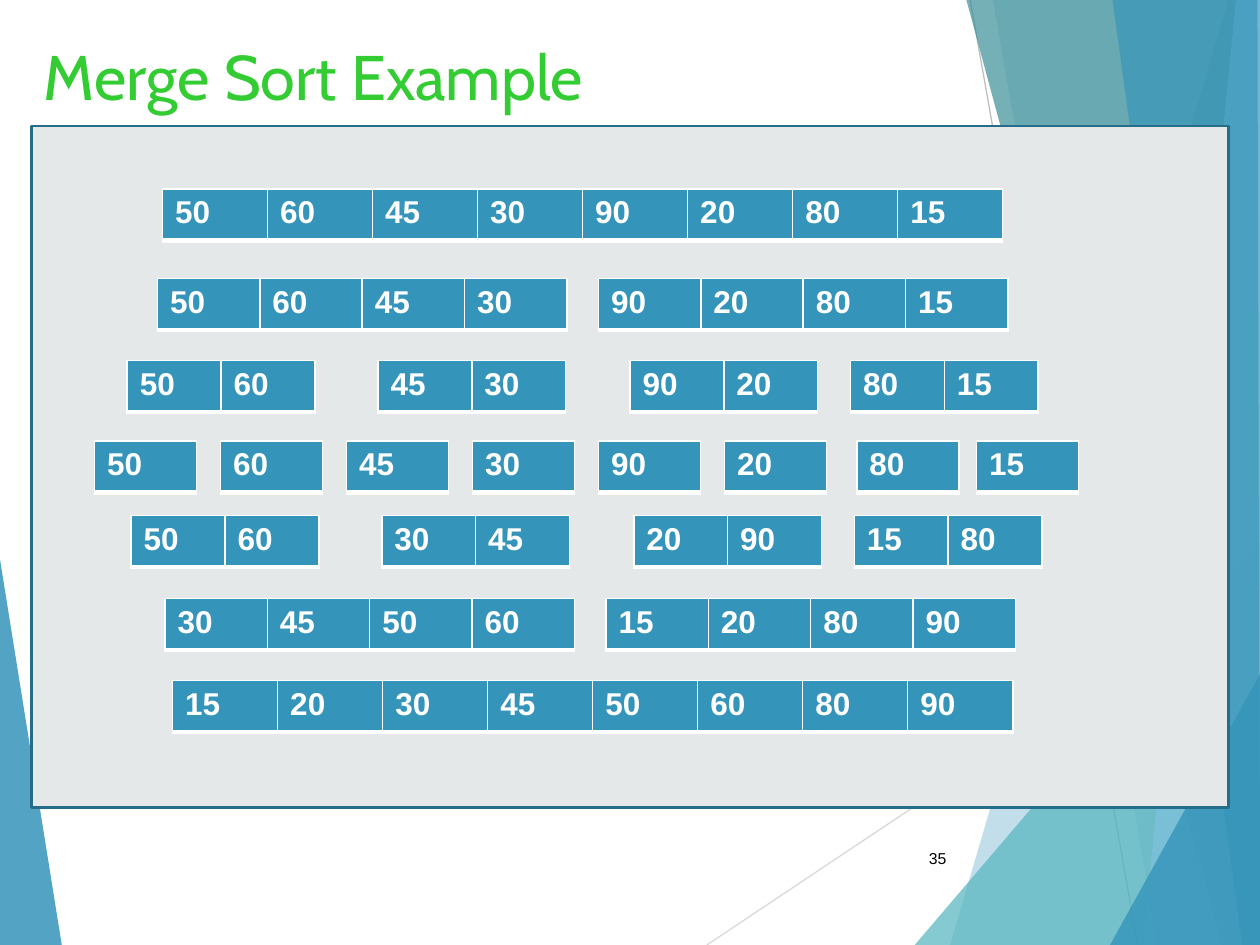
from lxml import etree
from pptx import Presentation
from pptx.dml.color import RGBColor
from pptx.enum.shapes import MSO_CONNECTOR, MSO_SHAPE
from pptx.enum.text import MSO_ANCHOR, PP_ALIGN
from pptx.oxml.ns import qn
from pptx.util import Inches, Pt

STRAIGHT = MSO_CONNECTOR.STRAIGHT
RECTANGLE = MSO_SHAPE.RECTANGLE
TOP, MIDDLE = MSO_ANCHOR.TOP, MSO_ANCHOR.MIDDLE
LEFT, RIGHT = PP_ALIGN.LEFT, PP_ALIGN.RIGHT

COLORS = {
    "blue": "3494BA",
    "teal": "58B6C0",
    "dark_teal": "3A8F98",
    "light_blue": "7FC1DB",
    "panel": "E4E8E8",
    "panel_border": "266D8A",
    "title": "33CC33",
    "white": "FFFFFF",
    "black": "000000",
    "light_gray": "D9D9D9",
    "gray": "BFBFBF",
}


def color(name):
    return RGBColor.from_string(COLORS[name])


def write(text_frame, text, size, font_name, color_name, bold=False, align=LEFT):
    paragraph = text_frame.paragraphs[0]
    paragraph.alignment = align
    run = paragraph.add_run()
    run.text = text
    run.font.size = Pt(size)
    run.font.name = font_name
    run.font.bold = bold
    run.font.color.rgb = color(color_name)


presentation = Presentation()
presentation.slide_width = Inches(10)
presentation.slide_height = Inches(7.5)
slide = presentation.slides.add_slide(presentation.slide_layouts[6])
shapes = slide.shapes

background_lines = [
    (5.61, 7.5, 10, 4.57, "light_gray"),
    (7.7, 0, 9.03, 7.5, "gray"),
]
for x1, y1, x2, y2, color_name in background_lines:
    connector = shapes.add_connector(
        STRAIGHT, Inches(x1), Inches(y1), Inches(x2), Inches(y2)
    )
    connector.line.color.rgb = color(color_name)
    connector.line.width = Pt(0.75)
    etree.SubElement(connector._element.spPr, qn("a:effectLst"))

facets = [
    ("blue", 85, [(0, 4.44), (0.49, 7.5), (0, 7.5)]),
    ("blue", 30, [(9.75, 0), (7.54, 7.5), (10, 7.5), (10, 0)]),
    ("blue", 20, [(7.88, 0), (9.19, 7.5), (10, 7.5), (10, 0)]),
    ("teal", 72, [(7.26, 7.5), (10, 4.29), (10, 7.5)]),
    ("dark_teal", 70, [(7.67, 0), (9.7, 7.5), (10, 7.5), (10, 0)]),
    ("light_blue", 70, [(9.81, 0), (9.07, 7.5), (10, 7.5), (10, 0)]),
    ("blue", 65, [(8.83, 0), (9.86, 7.5), (10, 7.5), (9.98, 0)]),
    ("blue", 80, [(8.81, 7.5), (10, 5.35), (10, 7.5)]),
]
for color_name, opacity, corners in facets:
    points = [(Inches(x), Inches(y)) for x, y in corners]
    builder = shapes.build_freeform(*points[0])
    builder.add_line_segments(points[1:], close=True)
    facet = builder.convert_to_shape()
    facet.shadow.inherit = False
    facet.line.fill.background()
    facet.fill.solid()
    facet.fill.fore_color.rgb = color(color_name)
    fill_color = facet._element.spPr.find(qn("a:solidFill"))[0]
    etree.SubElement(fill_color, qn("a:alpha"), val=str(opacity * 1000))

panel = shapes.add_shape(RECTANGLE, Inches(0.25), Inches(1), Inches(9.5), Inches(5.41))
panel.shadow.inherit = False
panel.fill.solid()
panel.fill.fore_color.rgb = color("panel")
panel.line.color.rgb = color("panel_border")
panel.line.width = Pt(1.5)

title = shapes.add_textbox(Inches(0.25), Inches(0.25), Inches(6.94), Inches(1.44))
title.text_frame.word_wrap = True
title.text_frame.vertical_anchor = TOP
write(title.text_frame, "Merge Sort Example", 36, "Cabin", "title")

number = shapes.add_textbox(Inches(7.05), Inches(6.61), Inches(0.56), Inches(0.4))
number.text_frame.word_wrap = True
number.text_frame.vertical_anchor = MIDDLE
write(number.text_frame, "35", 9, "Arial", "black", align=RIGHT)

table_widths = {8: 6.67, 4: 3.25, 2: 1.49, 1: 0.81}
borders = {"a:lnL": 1, "a:lnR": 1, "a:lnT": 1, "a:lnB": 3}
steps = [
    (1.5, [50, 60, 45, 30, 90, 20, 80, 15], [1.29]),
    (2.21, [50, 60, 45, 30, 90, 20, 80, 15], [1.25, 4.75]),
    (2.86, [50, 60, 45, 30, 90, 20, 80, 15], [1.01, 3, 5, 6.75]),
    (3.5, [50, 60, 45, 30, 90, 20, 80, 15],
     [0.75, 1.75, 2.75, 3.75, 4.75, 5.75, 6.8, 7.75]),
    (4.09, [50, 60, 30, 45, 20, 90, 15, 80], [1.04, 3.03, 5.03, 6.78]),
    (4.75, [30, 45, 50, 60, 15, 20, 80, 90], [1.31, 4.81]),
    (5.4, [15, 20, 30, 45, 50, 60, 80, 90], [1.37]),
]
for top, values, lefts in steps:
    count = len(values) // len(lefts)
    for index, left in enumerate(lefts):
        table = shapes.add_table(
            1, count, Inches(left), Inches(top),
            Inches(table_widths[count]), Inches(0.41),
        ).table
        table.first_row = False
        table.horz_banding = False
        part = values[index * count:(index + 1) * count]
        for cell, value in zip(table.rows[0].cells, part):
            properties = cell._tc.get_or_add_tcPr()
            for tag, width in borders.items():
                border = etree.SubElement(properties, qn(tag), w=str(Pt(width)))
                border_fill = etree.SubElement(border, qn("a:solidFill"))
                etree.SubElement(border_fill, qn("a:srgbClr"), val=COLORS["white"])
            cell.fill.solid()
            cell.fill.fore_color.rgb = color("blue")
            write(cell.text_frame, str(value), 18, "Arial", "white", bold=True)

presentation.save("out.pptx")
